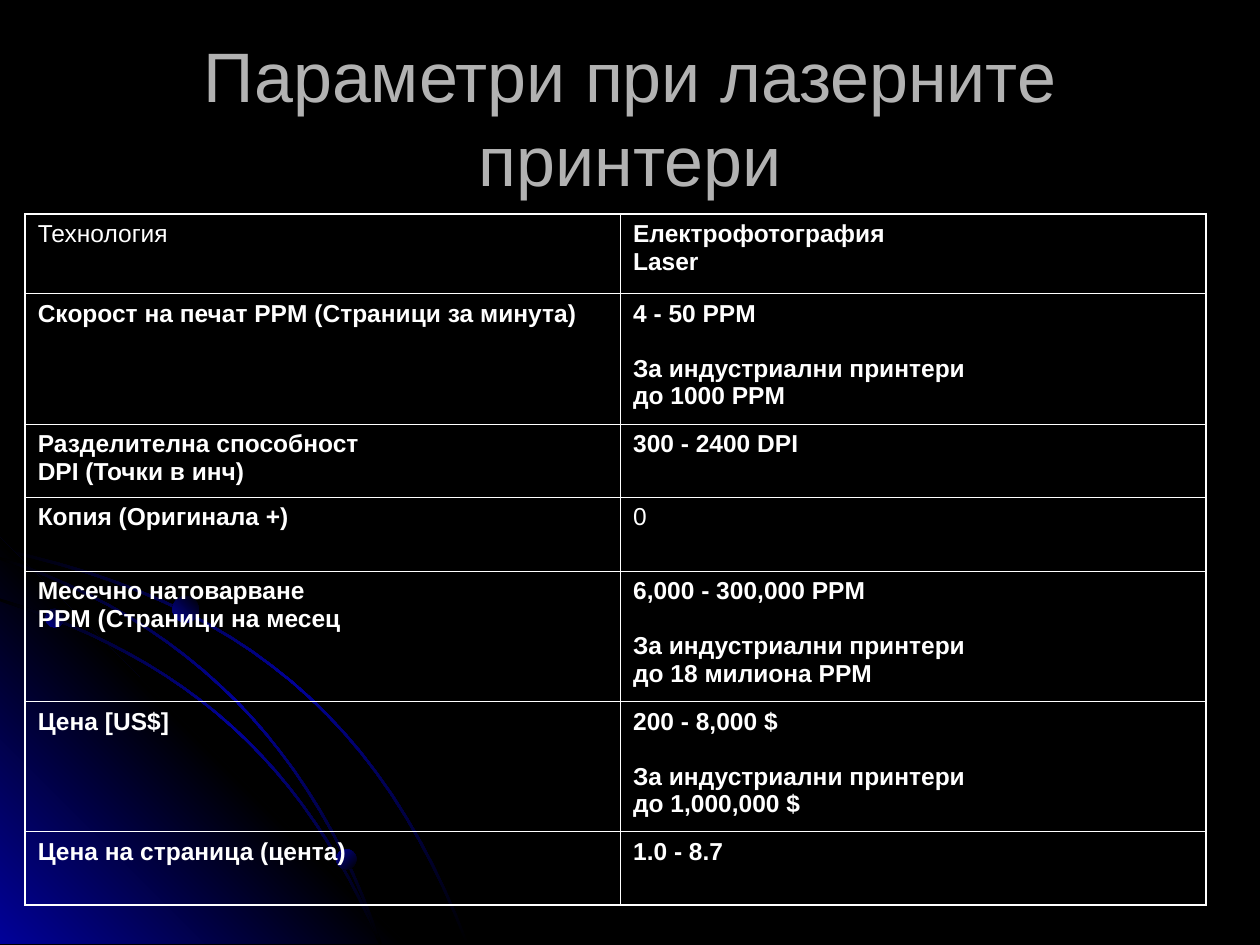
from copy import deepcopy

from lxml.etree import SubElement
from pptx import Presentation
from pptx.dml.color import RGBColor
from pptx.enum.shapes import MSO_SHAPE
from pptx.enum.text import MSO_ANCHOR, PP_ALIGN
from pptx.oxml import parse_xml
from pptx.oxml.ns import nsdecls, qn
from pptx.util import Pt

BLACK = RGBColor(0x00, 0x00, 0x00)
BLUE = RGBColor(0x01, 0x01, 0x99)
WHITE = RGBColor(0xFF, 0xFF, 0xFF)
GRAY = RGBColor(0xB2, 0xB2, 0xB2)

OUTER_BORDER, INNER_BORDER = Pt(1.08), Pt(0.45)
TOWARD_LOWER_LEFT, TOWARD_UPPER_LEFT = 135, 225
ARC_THICKNESS = 1.6
ARC_STEPS = 24


def paint_gradient(shape, colors, angle):
    """Fill with evenly spaced colours; the angle runs clockwise in degrees."""
    shape.shadow.inherit = False
    shape.line.fill.background()
    shape.fill.gradient()
    old_fill = shape._element.spPr.find(qn("a:gradFill"))
    step = 100000 // (len(colors) - 1)
    stops = "".join(
        f'<a:gs pos="{index * step}"><a:srgbClr val="{color}"/></a:gs>'
        for index, color in enumerate(colors)
    )
    new_fill = parse_xml(
        f'<a:gradFill {nsdecls("a")} rotWithShape="1"><a:gsLst>{stops}</a:gsLst>'
        f'<a:lin ang="{angle * 60000}" scaled="0"/></a:gradFill>'
    )
    old_fill.getparent().replace(old_fill, new_fill)


def write_text(paragraph, text, font_format):
    """Write text whose newlines become line breaks of the same font."""
    paragraph.text = text.replace("\n", "\v")
    for run in paragraph.runs:
        run.font.color.rgb = font_format["color"]
        for name in ("name", "size", "bold"):
            setattr(run.font, name, font_format[name])
    for line_break in paragraph._p.findall(qn("a:br")):
        line_break.insert(0, deepcopy(paragraph.runs[0]._r.rPr))


presentation = Presentation()
presentation.slide_width, presentation.slide_height = Pt(720), Pt(540)
slide = presentation.slides.add_slide(presentation.slide_layouts[6])
slide.background.fill.solid()
slide.background.fill.fore_color.rgb = BLACK

# Each arc is a thin ribbon between two Bezier curves. These are the four control
# points of its upper edge, in points: start, two handles, end.
arcs = [
    [(0, 313.2), (137.5, 342.7), (218.2, 410.4), (267.8, 539.3)],
    [(0, 342), (108, 376.3), (173.5, 435.6), (218.2, 539.3)],
    [(0, 318.2), (108, 354.2), (180, 427), (218.2, 539.3)],
]
outlines = []
for upper_controls in arcs:
    # The lower edge starts further down and ends further left.
    start, start_handle, end_handle, end = upper_controls
    lower_controls = [(x, y + ARC_THICKNESS) for x, y in (start, start_handle)]
    lower_controls += [(x - ARC_THICKNESS, y) for x, y in (end_handle, end)]
    edges = []
    for controls in (upper_controls, lower_controls):
        edge = []
        for step in range(ARC_STEPS + 1):
            t = step / ARC_STEPS
            weights = ((1 - t) ** 3, 3 * t * (1 - t) ** 2, 3 * t**2 * (1 - t), t**3)
            edge.append([
                sum(weight * value for weight, value in zip(weights, values))
                for values in zip(*controls)
            ])
        edges.append(edge)
    upper_edge, lower_edge = edges
    ribbon = upper_edge + lower_edge[::-1]
    outlines.append((ribbon, (BLACK, BLUE, BLACK), TOWARD_UPPER_LEFT))

# The glowing corner lies above the first arc and below the other two.
corner = [(0, 307.4), (231.8, 539.3), (0, 539.3)]
outlines.insert(1, (corner, (BLUE, BLACK, BLUE), TOWARD_LOWER_LEFT))

for points, colors, angle in outlines:
    # Freeform coordinates are whole numbers, so they count tenths of a point.
    tenths = [(round(10 * x), round(10 * y)) for x, y in points]
    builder = slide.shapes.build_freeform(*tenths[0], scale=Pt(0.1))
    builder.add_line_segments(tenths[1:], close=True)
    paint_gradient(builder.convert_to_shape(), colors, angle)

for left, top, diameter, angle in [
    (25.9, 347.8, 10.8, TOWARD_LOWER_LEFT),
    (192.2, 485.3, 11.5, TOWARD_UPPER_LEFT),
    (98.6, 340.6, 15.1, TOWARD_LOWER_LEFT),
]:
    dot = slide.shapes.add_shape(
        MSO_SHAPE.OVAL, Pt(left), Pt(top), Pt(diameter), Pt(diameter)
    )
    paint_gradient(dot, (BLACK, BLUE), angle)

# Title
title = slide.shapes.add_textbox(Pt(36), Pt(21.6), Pt(648), Pt(90))
title.text_frame.word_wrap = True
title.text_frame.vertical_anchor = MSO_ANCHOR.MIDDLE
title_paragraph = title.text_frame.paragraphs[0]
title_paragraph.alignment = PP_ALIGN.CENTER
title_format = {"name": "Arial", "size": Pt(40), "bold": False, "color": GRAY}
write_text(title_paragraph, "Параметри при лазерните принтери", title_format)

# Table
rows = [
    ("Технология", "Електрофотография\nLaser"),
    ("Скорост на печат PPM (Страници за минута)",
     "4 - 50 PPM\n\nЗа индустриални принтери\nдо 1000 PPM"),
    ("Разделителна способност\nDPI (Точки в инч)", "300 - 2400 DPI"),
    ("Копия (Оригинала +)", "0"),
    ("Месечно натоварване\nPPM (Страници на месец",
     "6,000 - 300,000 PPM\n\nЗа индустриални принтери\nдо 18 милиона PPM"),
    ("Цена [US$]", "200 - 8,000 $\n\nЗа индустриални принтери\nдо 1,000,000 $"),
    ("Цена на страница (цента)", "1.0 - 8.7"),
]
row_heights = [45.4, 74.2, 41.8, 42.4, 74.2, 74.2, 41.8]
column_widths = [340.2, 334.6]
regular_texts = {"Технология", "0"}

table = slide.shapes.add_table(
    len(rows), len(column_widths),
    Pt(14.4), Pt(122.4), Pt(sum(column_widths)), Pt(sum(row_heights)),
).table
table.first_row = table.horz_banding = False
for column, width in zip(table.columns, column_widths):
    column.width = Pt(width)

for row_index, (texts, height) in enumerate(zip(rows, row_heights)):
    table.rows[row_index].height = Pt(height)
    for column_index, text in enumerate(texts):
        cell = table.cell(row_index, column_index)
        cell.margin_left = cell.margin_right = Pt(7.2)
        cell.margin_top = cell.margin_bottom = Pt(3.6)
        cell_properties = cell._tc.get_or_add_tcPr()
        on_outside = {
            "lnL": column_index == 0,
            "lnR": column_index == len(column_widths) - 1,
            "lnT": row_index == 0,
            "lnB": row_index == len(rows) - 1,
        }
        for side, is_outer in on_outside.items():
            border_width = OUTER_BORDER if is_outer else INNER_BORDER
            border = SubElement(cell_properties, qn(f"a:{side}"), w=str(border_width))
            border_fill = SubElement(border, qn("a:solidFill"))
            SubElement(border_fill, qn("a:srgbClr"), val=str(WHITE))
        cell.fill.background()

        paragraph = cell.text_frame.paragraphs[0]
        paragraph.space_before = Pt(3.5)
        is_bold = text not in regular_texts
        cell_format = {"name": "Arial", "size": Pt(14), "bold": is_bold, "color": WHITE}
        write_text(paragraph, text, cell_format)

presentation.save("out.pptx")
